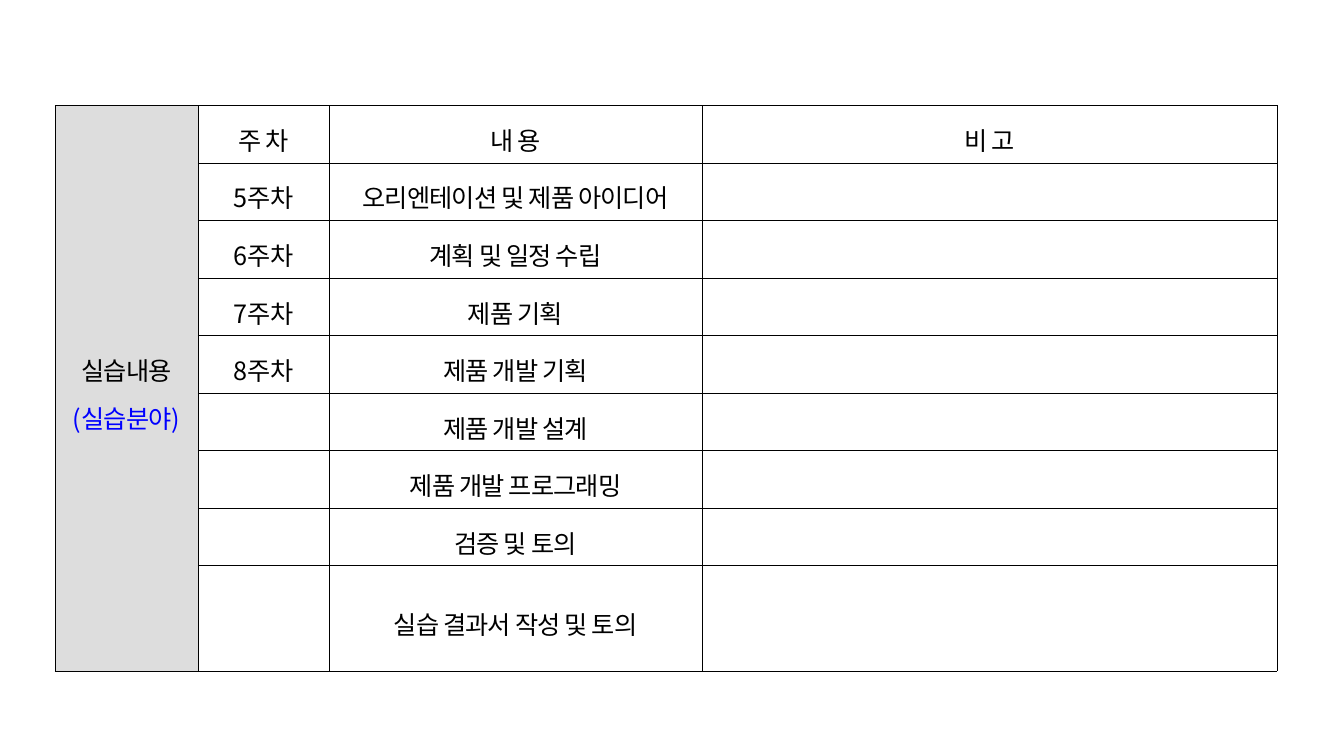
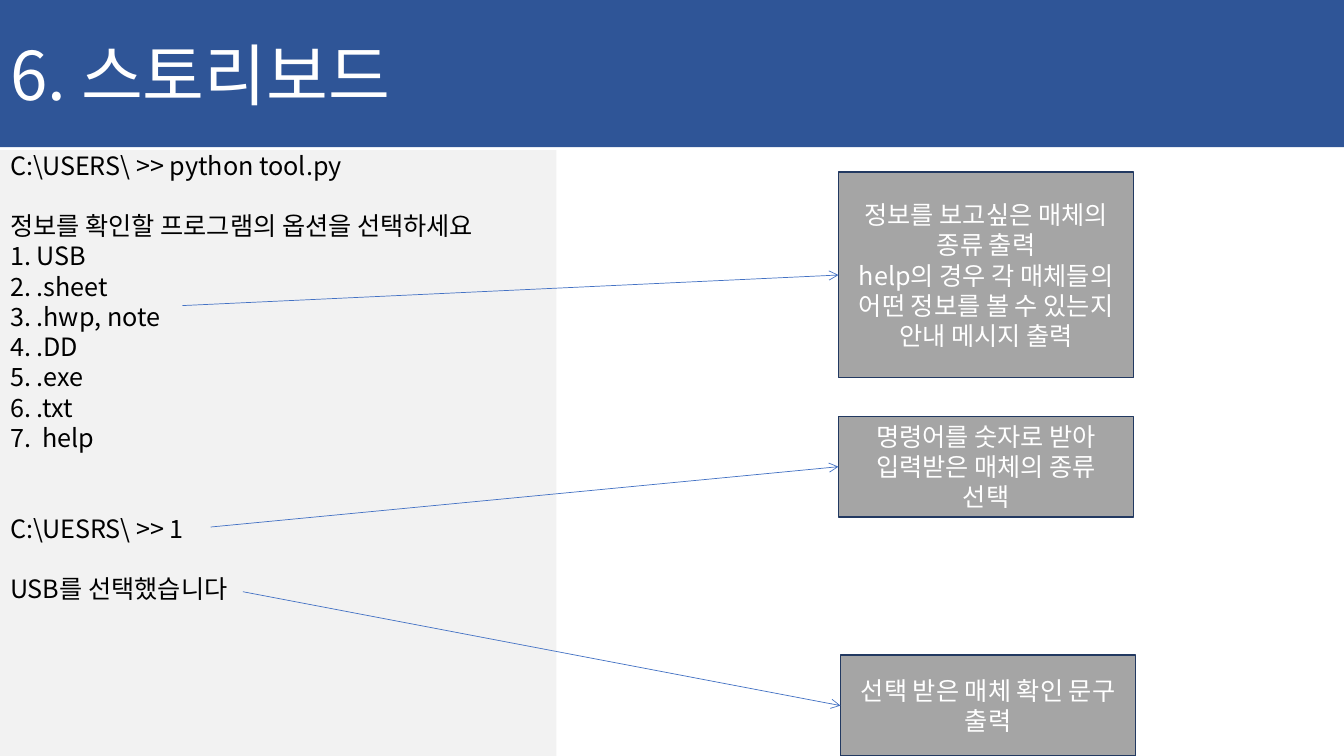
from dataclasses import dataclass

from lxml import etree
from pptx import Presentation
from pptx.dml.color import RGBColor
from pptx.enum.shapes import MSO_CONNECTOR, MSO_SHAPE
from pptx.enum.text import MSO_ANCHOR, MSO_AUTO_SIZE, PP_ALIGN
from pptx.oxml.ns import qn
from pptx.util import Cm, Pt

LEFT, CENTER = PP_ALIGN.LEFT, PP_ALIGN.CENTER
TOP, MIDDLE = MSO_ANCHOR.TOP, MSO_ANCHOR.MIDDLE
RECTANGLE = MSO_SHAPE.RECTANGLE
STRAIGHT = MSO_CONNECTOR.STRAIGHT
NO_AUTOFIT = MSO_AUTO_SIZE.NONE
BLANK_LAYOUT, CONTENT_LAYOUT = 6, 1
LEFT_SITE = 1


@dataclass(frozen=True)
class Theme:
    font: str = "Noto Sans CJK KR"
    black: str = "000000"
    white: str = "FFFFFF"
    highlight: str = "0000FF"
    band: str = "2F5597"
    console: str = "F2F2F2"
    label: str = "DDDDDD"
    callout: str = "A5A5A5"
    callout_line: str = "223961"
    arrow: str = "4472C4"
    title_size: float = 48
    body_size: float = 18
    line_factor: float = 1.2
    table_spacing: float = 1.3
    tracking: int = -60


THEME = Theme()


@dataclass(frozen=True)
class Box:
    left: float
    top: float
    width: float
    height: float


@dataclass(frozen=True)
class ConsoleLine:
    text: str
    gap_lines: int = 0


@dataclass(frozen=True)
class Callout:
    box: Box
    lines: tuple[str, ...]
    arrow_start: tuple[float, float]


@dataclass(frozen=True)
class WeekRow:
    week: str
    content: str
    note: str = ""


WEEK_ROWS = (
    WeekRow("주 차", "내 용", "비 고"),
    WeekRow("5주차", "오리엔테이션 및 제품 아이디어"),
    WeekRow("6주차", "계획 및 일정 수립"),
    WeekRow("7주차", "제품 기획"),
    WeekRow("8주차", "제품 개발 기획"),
    WeekRow("", "제품 개발 설계"),
    WeekRow("", "제품 개발 프로그래밍"),
    WeekRow("", "검증 및 토의"),
    WeekRow("", "실습 결과서 작성 및 토의"),
)
COLUMN_WIDTHS = (3.6, 3.3, 9.4, 14.49)
ROW_HEIGHT, LAST_ROW_HEIGHT = 1.45, 2.65

CONSOLE_LINES = (
    ConsoleLine("C:\\USERS\\ >> python tool.py"),
    ConsoleLine("정보를 확인할 프로그램의 옵션을 선택하세요", 1),
    ConsoleLine("1. USB"),
    ConsoleLine("2. .sheet"),
    ConsoleLine("3. .hwp, note"),
    ConsoleLine("4. .DD"),
    ConsoleLine("5. .exe"),
    ConsoleLine("6. .txt"),
    ConsoleLine("7.  help"),
    ConsoleLine("C:\\UESRS\\ >> 1", 2),
    ConsoleLine("USB를 선택했습니다", 1),
)
CALLOUTS = (
    Callout(Box(21.13, 4.34, 7.44, 5.18),
            ("정보를 보고싶은 매체의 종류 출력",
             "help의 경우 각 매체들의 어떤 정보를 볼 수 있는지 안내 메시지 출력"),
            (4.6, 7.7)),
    Callout(Box(21.13, 10.49, 7.44, 2.54),
            ("명령어를 숫자로 받아 입력받은 매체의 종류 선택",), (5.31, 13.28)),
    Callout(Box(21.18, 16.51, 7.44, 2.54),
            ("선택 받은 매체 확인 문구 출력",), (6.12, 14.91)),
)
CALLOUT_MARGIN = 0.36


def color(value: str) -> RGBColor:
    return RGBColor.from_string(value)


def write(paragraph, text: str, *, size: float = THEME.body_size,
          fill: str = THEME.black, align=LEFT, line_spacing=None,
          space_before: float = 0, tracking: int = 0) -> None:
    """Put one formatted run into a paragraph; spacing defaults to the slide's line factor."""
    paragraph.alignment = align
    paragraph.line_spacing = line_spacing or Pt(size * THEME.line_factor)
    paragraph.space_before = Pt(space_before)
    run = paragraph.add_run()
    run.text = text
    run.font.name = THEME.font
    run.font.size = Pt(size)
    run.font.color.rgb = color(fill)
    properties = run.font._element
    if tracking:
        properties.set("spc", str(tracking))
    etree.SubElement(properties, qn("a:ea")).set("typeface", THEME.font)


def paragraph_at(text_frame, index: int):
    return text_frame.add_paragraph() if index else text_frame.paragraphs[0]


def place(shape, box: Box, fill: str, anchor=MIDDLE) -> None:
    """Move a shape, fill it and fix its text frame."""
    shape.left, shape.top = Cm(box.left), Cm(box.top)
    shape.width, shape.height = Cm(box.width), Cm(box.height)
    shape.fill.solid()
    shape.fill.fore_color.rgb = color(fill)
    frame = shape.text_frame
    frame.word_wrap = True
    frame.auto_size = NO_AUTOFIT
    frame.vertical_anchor = anchor


def set_borders(cell) -> None:
    properties = cell._tc.get_or_add_tcPr()
    for position, side in enumerate(("lnL", "lnR", "lnT", "lnB")):
        line = etree.Element(qn(f"a:{side}"), w=str(Pt(0.28)))
        solid = etree.SubElement(line, qn("a:solidFill"))
        etree.SubElement(solid, qn("a:srgbClr"), val=THEME.black)
        properties.insert(position, line)


def fill_cell(cell, *lines: tuple[str, str], background: str = THEME.white) -> None:
    """Format a table cell and write its (text, colour) lines."""
    cell.fill.solid()
    cell.fill.fore_color.rgb = color(background)
    cell.vertical_anchor = MIDDLE
    set_borders(cell)
    for index, (text, text_color) in enumerate(lines):
        if text:
            write(paragraph_at(cell.text_frame, index), text, fill=text_color,
                  align=CENTER, line_spacing=THEME.table_spacing,
                  tracking=THEME.tracking)


def add_schedule_slide(presentation) -> None:
    slide = presentation.slides.add_slide(presentation.slide_layouts[BLANK_LAYOUT])
    row_count = len(WEEK_ROWS)
    heights = [ROW_HEIGHT] * (row_count - 1) + [LAST_ROW_HEIGHT]
    table = slide.shapes.add_table(
        row_count, len(COLUMN_WIDTHS), Cm(1.39), Cm(2.65),
        Cm(sum(COLUMN_WIDTHS)), Cm(sum(heights))).table
    table.first_row = table.horz_banding = False
    for column, width in zip(table.columns, COLUMN_WIDTHS):
        column.width = Cm(width)
    for row, height in zip(table.rows, heights):
        row.height = Cm(height)

    table.cell(0, 0).merge(table.cell(row_count - 1, 0))
    fill_cell(table.cell(0, 0), ("실습내용", THEME.black),
              ("(실습분야)", THEME.highlight), background=THEME.label)
    for row_index, week_row in enumerate(WEEK_ROWS):
        if row_index:
            fill_cell(table.cell(row_index, 0), background=THEME.label)
        texts = (week_row.week, week_row.content, week_row.note)
        for column_index, text in enumerate(texts, start=1):
            fill_cell(table.cell(row_index, column_index), (text, THEME.black))


def add_title(slide, text: str) -> None:
    title = slide.shapes.title
    place(title, Box(0, 0, 33.87, 3.71), THEME.band)
    write(title.text_frame.paragraphs[0], text, size=THEME.title_size, fill=THEME.white)


def add_console(slide) -> None:
    console = slide.placeholders[1]
    place(console, Box(0, 3.78, 14.02, 15.27), THEME.console, TOP)
    frame = console.text_frame
    frame.margin_top = 0
    line_height = THEME.body_size * THEME.line_factor
    for index, line in enumerate(CONSOLE_LINES):
        paragraph = paragraph_at(frame, index)
        write(paragraph, line.text, space_before=line.gap_lines * line_height)
        properties = paragraph._p.get_or_add_pPr()
        properties.set("marL", "0")
        properties.set("indent", "0")
        etree.SubElement(properties, qn("a:buNone"))


def add_callout(slide, callout: Callout) -> None:
    """Draw a callout box and the arrow that leads to its left side."""
    box = callout.box
    shape = slide.shapes.add_shape(RECTANGLE, Cm(box.left), Cm(box.top),
                                   Cm(box.width), Cm(box.height))
    place(shape, box, THEME.callout)
    shape.shadow.inherit = False
    shape.line.color.rgb = color(THEME.callout_line)
    shape.line.width = Pt(1)
    frame = shape.text_frame
    frame.margin_left = frame.margin_right = Cm(CALLOUT_MARGIN)
    for index, text in enumerate(callout.lines):
        write(paragraph_at(frame, index), text, fill=THEME.white, align=CENTER)

    start_x, start_y = callout.arrow_start
    arrow = slide.shapes.add_connector(STRAIGHT, Cm(start_x), Cm(start_y),
                                       Cm(box.left), Cm(box.top + box.height / 2))
    arrow.end_connect(shape, LEFT_SITE)
    arrow.line.color.rgb = color(THEME.arrow)
    arrow.line.width = Pt(0.5)
    etree.SubElement(arrow.line._get_or_add_ln(), qn("a:tailEnd")).set("type", "arrow")
    etree.SubElement(arrow._element.spPr, qn("a:effectLst"))


def add_storyboard_slide(presentation) -> None:
    slide = presentation.slides.add_slide(presentation.slide_layouts[CONTENT_LAYOUT])
    add_title(slide, "6. 스토리보드")
    add_console(slide)
    for callout in CALLOUTS:
        add_callout(slide, callout)


def main() -> None:
    presentation = Presentation()
    presentation.slide_width, presentation.slide_height = Cm(33.87), Cm(19.05)
    add_schedule_slide(presentation)
    add_storyboard_slide(presentation)
    presentation.save("out.pptx")


if __name__ == "__main__":
    main()
